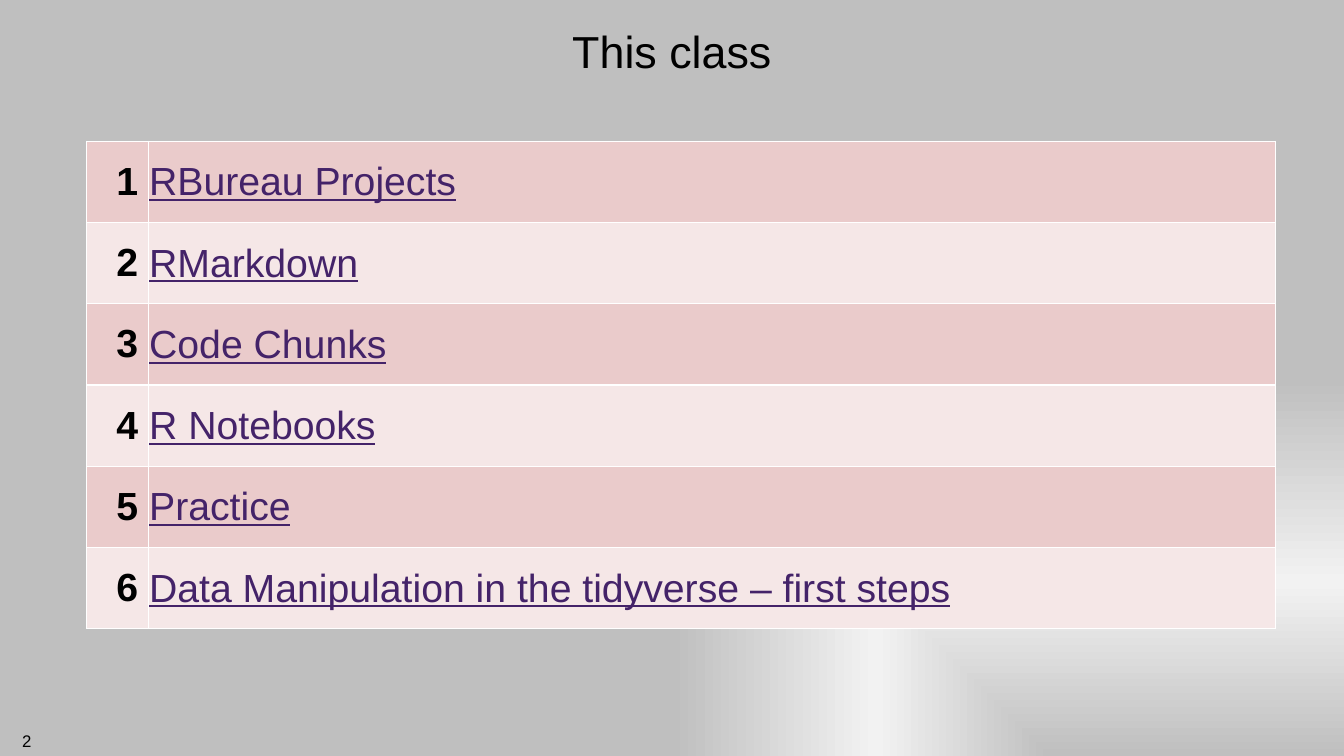
from lxml.etree import SubElement
from pptx import Presentation
from pptx.dml.color import RGBColor
from pptx.enum.text import MSO_ANCHOR, PP_ALIGN
from pptx.oxml import parse_xml
from pptx.oxml.ns import nsdecls, qn
from pptx.util import Pt

EMU_PER_PX = 9144  # 100 px to the inch
FONT = "Arial"
COLORS = {
    "text": "000000",
    "link": "442369",
    "border": "FFFFFF",
    "band_dark": "EACBCB",
    "band_light": "F5E7E7",
    "edge": "BFBFBF",
    "glow": "F2F2F2",
}
TOPICS = [
    "RBureau Projects",
    "RMarkdown",
    "Code Chunks",
    "R Notebooks",
    "Practice",
    "Data Manipulation in the tidyverse – first steps",
]


def px(length):
    return length * EMU_PER_PX


def set_background(slide):
    stops = [(0, "edge"), (46, "glow"), (100, "edge")]
    stop_xml = "".join(
        f'<a:gs pos="{position * 1000}"><a:srgbClr val="{COLORS[name]}"/></a:gs>'
        for position, name in stops
    )
    background = parse_xml(
        f'<p:bg {nsdecls("p", "a")}><p:bgPr><a:gradFill rotWithShape="1">'
        f'<a:gsLst>{stop_xml}</a:gsLst><a:path path="rect">'
        '<a:fillToRect l="100000" t="100000"/></a:path></a:gradFill>'
        '<a:effectLst/></p:bgPr></p:bg>'
    )
    slide.element.cSld.insert(0, background)


def write(text_frame, text, size, color="text", align=PP_ALIGN.LEFT, bold=False, underline=False):
    paragraph = text_frame.paragraphs[0]
    paragraph.text = text
    paragraph.alignment = align
    font = paragraph.font
    font.name, font.size = FONT, Pt(size)
    font.bold, font.underline = bold, underline
    font.color.rgb = RGBColor.from_string(COLORS[color])


def add_title(slide, text):
    title = slide.shapes.title
    title.left, title.top, title.width, title.height = px(100), 0, px(1133), px(100)
    frame = title.text_frame
    frame.vertical_anchor = MSO_ANCHOR.MIDDLE
    frame.margin_left = frame.margin_right = px(10)
    frame.margin_top = frame.margin_bottom = px(10)
    write(frame, text, 32, align=PP_ALIGN.CENTER)


def add_page_number(slide, number):
    box = slide.shapes.add_textbox(0, px(720), px(41), px(30))
    box.text_frame.word_wrap = False
    write(box.text_frame, str(number), 12, align=PP_ALIGN.RIGHT)


def style_cell(cell, band):
    cell.vertical_anchor = MSO_ANCHOR.MIDDLE
    properties = cell._tc.get_or_add_tcPr()
    for side in ("a:lnL", "a:lnR", "a:lnT", "a:lnB"):
        line = SubElement(properties, qn(side), w=str(Pt(1)))
        fill = SubElement(line, qn("a:solidFill"))
        SubElement(fill, qn("a:srgbClr"), val=COLORS["border"])
    cell.fill.solid()
    cell.fill.fore_color.rgb = RGBColor.from_string(COLORS[band])


def add_agenda(slide, topics):
    frame = slide.shapes.add_table(len(topics), 2, px(86), px(140), px(1179), px(484))
    table = frame.table
    table.first_row = False
    for column, width in zip(table.columns, (61, 1118)):
        column.width = px(width)
    for row, topic in enumerate(topics):
        number_cell, topic_cell = table.cell(row, 0), table.cell(row, 1)
        for cell in (number_cell, topic_cell):
            style_cell(cell, "band_light" if row % 2 else "band_dark")
        topic_cell.margin_left = topic_cell.margin_right = topic_cell.margin_top = px(1)
        topic_cell.margin_bottom = 0
        write(number_cell.text_frame, str(row + 1), 28, align=PP_ALIGN.RIGHT, bold=True)
        write(topic_cell.text_frame, topic, 28, color="link", underline=True)


def main():
    presentation = Presentation()
    presentation.slide_width, presentation.slide_height = px(1333), px(750)
    slide = presentation.slides.add_slide(presentation.slide_layouts[5])  # title only

    # Backdrop and page number
    set_background(slide)
    add_page_number(slide, 2)

    # Title and agenda
    add_title(slide, "This class")
    add_agenda(slide, TOPICS)

    presentation.save("out.pptx")


if __name__ == "__main__":
    main()
